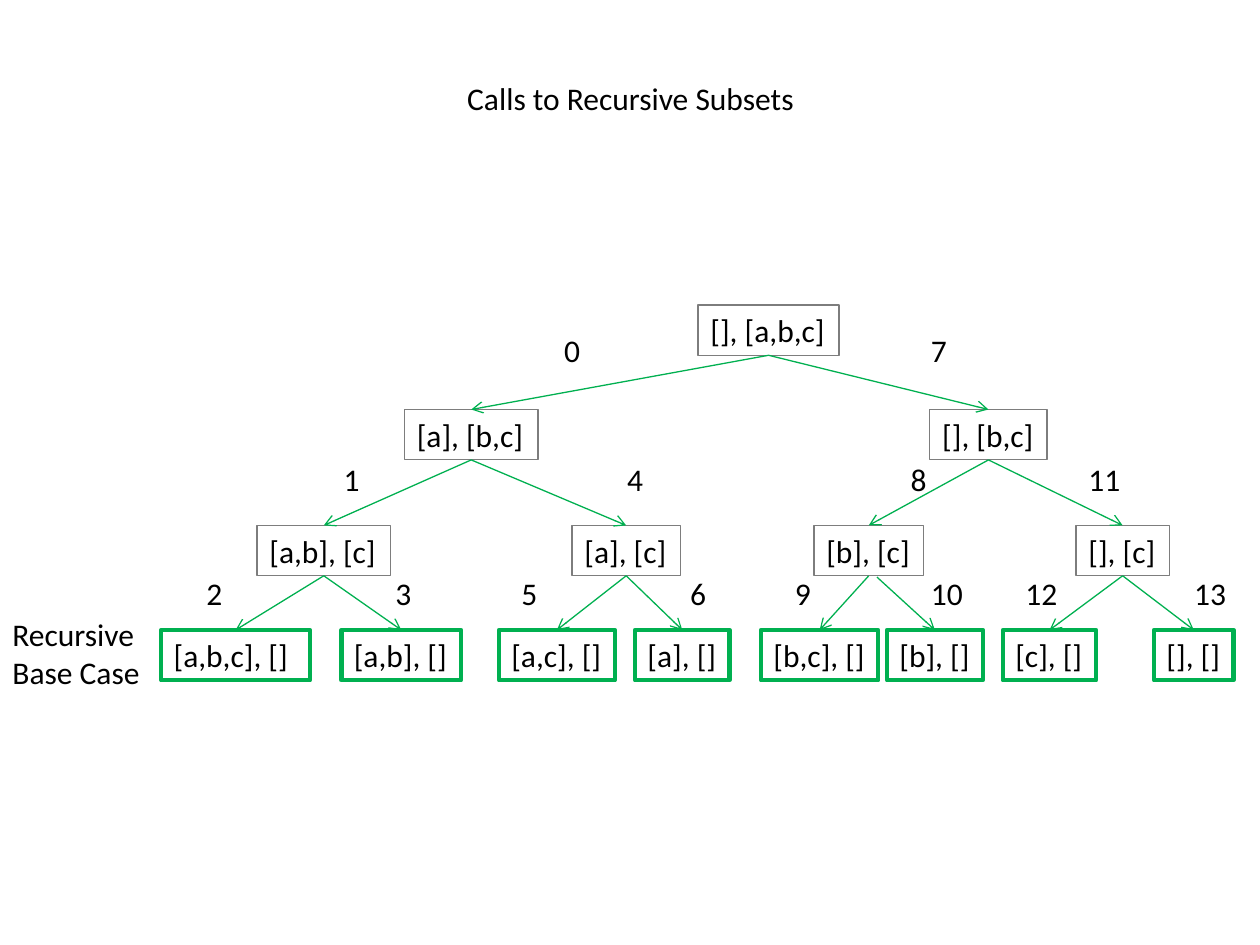
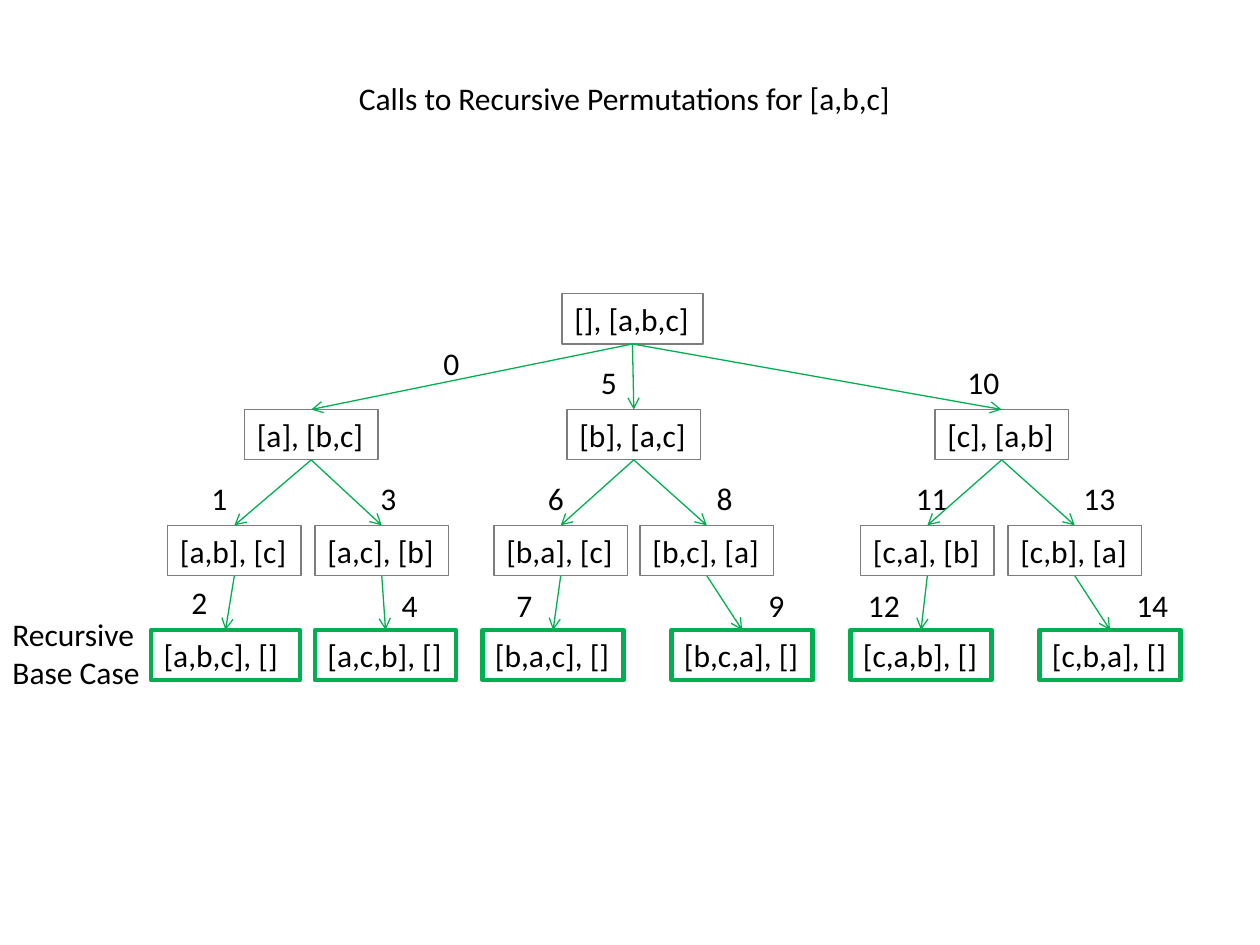
import dataclasses
import itertools

import pptx
import pptx.dml.color
import pptx.enum.shapes
import pptx.enum.text
import pptx.oxml.ns
import pptx.util
from lxml import etree

Inches = pptx.util.Inches
Pt = pptx.util.Pt
TOP, BOTTOM = 0, 2


@dataclasses.dataclass(frozen=True)
class Theme:
    font: str = "Calibri"
    size: int = 18
    text: str = "000000"
    outline: str = "7D7D7D"
    accent: str = "00B050"
    thin: float = 0.75
    thick: float = 2.5
    line_height: float = 0.4
    inset: float = 0.1


@dataclasses.dataclass
class Call:
    """A call in the tree; lengths are inches from the tree's corner."""
    state: str
    left: float
    width: float
    number_left: float = 0
    children: tuple = ()
    number_shift: float = 0
    arrow_start: tuple = None


@dataclasses.dataclass
class Tree:
    """Tops are relative to the tree's top, one for each depth."""
    left: float
    top: float
    row_tops: tuple
    number_tops: tuple
    root: Call


THEME = Theme()


def color(value):
    return pptx.dml.color.RGBColor.from_string(value)


def write(sp, text):
    tf = sp.text_frame
    tf.text = text
    tf.word_wrap = True
    tf.margin_left, tf.margin_right = Inches(THEME.inset), 0
    tf.vertical_anchor = pptx.enum.text.MSO_ANCHOR.TOP
    for p in tf.paragraphs:
        p.alignment = pptx.enum.text.PP_ALIGN.LEFT
        for r in p.runs:
            r.font.name = THEME.font
            r.font.size = Pt(THEME.size)
            r.font.color.rgb = color(THEME.text)


def add_text(slide, text, left, top, width, height=THEME.line_height):
    sp = slide.shapes.add_textbox(Inches(left), Inches(top), Inches(width), Inches(height))
    write(sp, text)


def add_call_box(slide, call, left, top):
    sp = slide.shapes.add_shape(
        pptx.enum.shapes.MSO_SHAPE.RECTANGLE,
        Inches(left), Inches(top), Inches(call.width), Inches(THEME.line_height))
    sp.shadow.inherit = False
    sp.fill.background()
    is_base_case = not call.children
    sp.line.color.rgb = color(THEME.accent if is_base_case else THEME.outline)
    sp.line.width = Pt(THEME.thick if is_base_case else THEME.thin)
    write(sp, call.state)
    return sp


def add_arrow(slide, parent, child, start=None):
    """Join parent to child, or leave from a free start point."""
    x, y = start or (0, 0)
    cxn = slide.shapes.add_connector(
        pptx.enum.shapes.MSO_CONNECTOR.STRAIGHT, Inches(x), Inches(y), 0, 0)
    if start is None:
        cxn.begin_connect(parent, BOTTOM)
    cxn.end_connect(child, TOP)
    cxn.line.color.rgb = color(THEME.accent)
    cxn.line.width = Pt(THEME.thin)
    qn = pptx.oxml.ns.qn
    etree.SubElement(cxn.line._get_or_add_ln(), qn("a:tailEnd"), type="arrow")
    etree.SubElement(cxn._element.spPr, qn("a:effectLst"))


def add_tree(slide, tree):
    """Draw the calls, numbered in the order in which they are made."""
    numbers = itertools.count()

    def add_call(call, depth):
        sp = add_call_box(slide, call, tree.left + call.left, tree.top + tree.row_tops[depth])
        for child in call.children:
            number = str(next(numbers))
            add_text(slide, number, tree.left + child.number_left,
                     tree.top + tree.number_tops[depth] + child.number_shift,
                     0.2 + 0.13 * len(number))
            child_sp = add_call(child, depth + 1)
            start = child.arrow_start
            if start:
                start = tree.left + start[0], tree.top + start[1]
            add_arrow(slide, sp, child_sp, start)
        return sp

    add_call(tree.root, 0)
    add_text(slide, "Recursive\nBase Case", tree.left,
             tree.top + tree.row_tops[-1] - 0.17, 1.22, 0.71)


def add_tree_slide(prs, title, title_left, title_width, tree):
    slide = prs.slides.add_slide(prs.slide_layouts[6])
    add_text(slide, title, title_left, 0.58, title_width)
    add_tree(slide, tree)


SUBSETS = Tree(
    0, 2.42, (0, 0.83, 1.75, 2.58), (0.16, 1.18, 2.09),
    Call("[], [a,b,c]", 5.54, 1.12, children=(
        Call("[a], [b,c]", 3.21, 1.06, 4.38, (
            Call("[a,b], [c]", 2.04, 1.06, 2.63, (
                Call("[a,b,c], []", 1.28, 1.18, 1.54),
                Call("[a,b], []", 2.71, 0.95, 3.04))),
            Call("[a], [c]", 4.54, 0.86, 4.88, (
                Call("[a,c], []", 3.96, 0.92, 4.04),
                Call("[a], []", 5.04, 0.75, 5.38))))),
        Call("[], [b,c]", 7.38, 0.93, 7.29, (
            Call("[b], [c]", 6.46, 0.87, 7.13, (
                Call("[b,c], []", 6.04, 0.93, 6.21),
                Call("[b], []", 7.04, 0.76, 7.29, arrow_start=(6.96, 2.16)))),
            Call("[], [c]", 8.54, 0.74, 8.54, (
                Call("[c], []", 7.96, 0.74, 8.04),
                Call("[], []", 9.16, 0.63, 9.38))))))))

PERMUTATIONS = Tree(
    0, 2.33, (0, 0.92, 1.84, 2.67), (0.5, 1.42, 2.27),
    Call("[], [a,b,c]", 4.46, 1.12, children=(
        Call("[a], [b,c]", 1.94, 1.06, 3.42, (
            Call("[a,b], [c]", 1.33, 1.06, 1.58, (
                Call("[a,b,c], []", 1.2, 1.18, 1.42, number_shift=-0.02),)),
            Call("[a,c], [b]", 2.5, 1.06, 2.92, (
                Call("[a,c,b], []", 2.5, 1.12, 3.09),))), number_shift=-0.15),
        Call("[b], [a,c]", 4.5, 1.06, 4.67, (
            Call("[b,a], [c]", 3.92, 1.06, 4.25, (
                Call("[b,a,c], []", 3.83, 1.12, 4),)),
            Call("[b,c], [a]", 5.08, 1.06, 5.59, (
                Call("[b,c,a], []", 5.33, 1.12, 6),)))),
        Call("[c], [a,b]", 7.42, 1.06, 7.58, (
            Call("[c,a], [b]", 6.83, 1.06, 7.17, (
                Call("[c,a,b], []", 6.75, 1.12, 6.79),)),
            Call("[c,b], [a]", 8, 1.06, 8.5, (
                Call("[c,b,a], []", 8.25, 1.12, 8.92),)))))))


def main():
    prs = pptx.Presentation()
    prs.slide_width, prs.slide_height = Inches(10), Inches(7.5)
    add_tree_slide(prs, "Calls to Recursive Subsets", 3.61, 2.82, SUBSETS)
    add_tree_slide(prs, "Calls to Recursive Permutations for [a,b,c]", 2.75, 4.47, PERMUTATIONS)
    prs.save("out.pptx")


if __name__ == "__main__":
    main()
